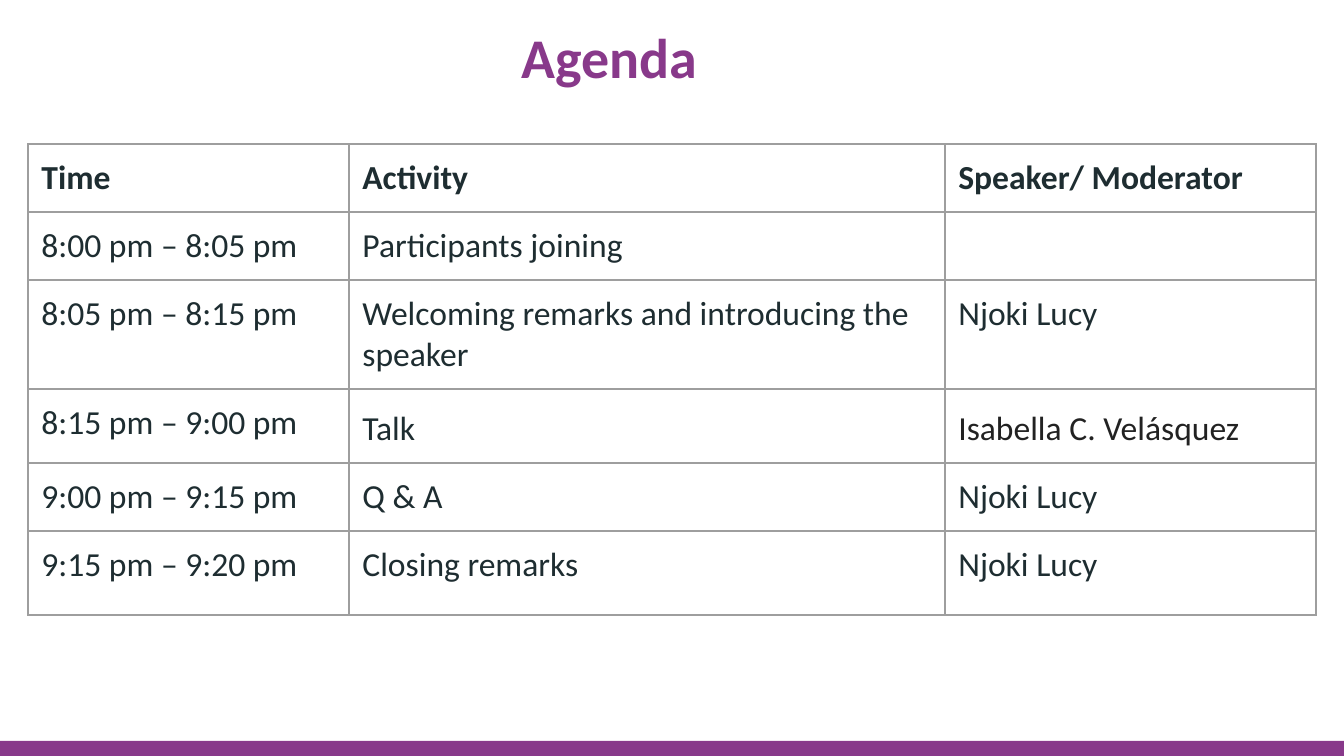
from lxml import etree
from pptx import Presentation
from pptx.dml.color import RGBColor
from pptx.enum.shapes import MSO_SHAPE as Shape
from pptx.enum.text import MSO_ANCHOR as Anchor, PP_ALIGN as Align
from pptx.oxml import parse_xml
from pptx.util import Emu, Pt

# Content
TITLE = "Agenda"
AGENDA = [
    ("Time", "Activity", "Speaker/ Moderator"),
    ("8:00 pm – 8:05 pm", "Participants joining", ""),
    ("8:05 pm – 8:15 pm", "Welcoming remarks and introducing the speaker", "Njoki Lucy"),
    ("8:15 pm – 9:00 pm", "Talk", "Isabella C. Velásquez"),
    ("9:00 pm – 9:15 pm", "Q & A", "Njoki Lucy"),
    ("9:15 pm – 9:20 pm", "Closing remarks", "Njoki Lucy"),
]
GUEST = "Isabella C. Velásquez"
LOOSE_TEXTS = ("Talk", GUEST)

# Layout in px
SLIDE_SIZE = (1344, 756)
TITLE_BOX = (150, 22, 919, 68)
TABLE_LEFT, TABLE_TOP = 28, 144
COLUMN_WIDTHS = (321, 596, 371)
ROW_HEIGHTS = (68, 68, 109, 74, 68, 84)
FOOTER_HEIGHT = 15
INSET = 13.44

PURPLE, INK, GUEST_INK, GRID, WHITE = "88398A", "1E2D31", "222222", "9E9E9E", "FFFFFF"
FONT = "Calibri"
DRAWING = "http://schemas.openxmlformats.org/drawingml/2006/main"


def px(length):
    return Emu(round(length * 914400 / 134.4))


def color(hex_string):
    return RGBColor.from_string(hex_string)


def write(paragraph, text, ink, **formats):
    run = paragraph.add_run()
    run.text = text
    run.font.color.rgb = color(ink)
    for name, value in {"name": FONT, **formats}.items():
        setattr(run.font, name, value)


def set_margins(target):
    for side in ("left", "top", "right", "bottom"):
        setattr(target, f"margin_{side}", px(INSET))


def add_borders(cell):
    properties = cell._tc.get_or_add_tcPr()
    for index, side in enumerate("LRTB"):
        properties.insert(index, parse_xml(
            f'<a:ln{side} xmlns:a="{DRAWING}" w="{Pt(0.75)}"><a:solidFill>'
            f'<a:srgbClr val="{GRID}"/></a:solidFill></a:ln{side}>'))


presentation = Presentation()
presentation.slide_width, presentation.slide_height = map(px, SLIDE_SIZE)
slide = presentation.slides.add_slide(presentation.slide_layouts[6])

# Footer band
width, height = SLIDE_SIZE
footer = slide.shapes.add_shape(
    Shape.RECTANGLE, 0, px(height - FOOTER_HEIGHT), px(width), px(FOOTER_HEIGHT))
footer.shadow.inherit = False
footer.fill.solid()
footer.fill.fore_color.rgb = color(PURPLE)
footer.line.fill.background()

# Agenda table
table = slide.shapes.add_table(
    len(AGENDA), len(COLUMN_WIDTHS), px(TABLE_LEFT), px(TABLE_TOP),
    px(sum(COLUMN_WIDTHS)), px(sum(ROW_HEIGHTS))).table
table.first_row = table.horz_banding = False
for column, column_width in zip(table.columns, COLUMN_WIDTHS):
    column.width = px(column_width)
for row_index, (row, row_height, texts) in enumerate(zip(table.rows, ROW_HEIGHTS, AGENDA)):
    row.height = px(row_height)
    for cell, text in zip(row.cells, texts):
        set_margins(cell)
        cell.fill.solid()
        cell.fill.fore_color.rgb = color(WHITE)
        add_borders(cell)
        paragraph = cell.text_frame.paragraphs[0]
        if text in LOOSE_TEXTS:
            paragraph.line_spacing = 1.15
        if text:
            ink = GUEST_INK if text == GUEST else INK
            write(paragraph, text, ink, size=Pt(18), bold=row_index == 0)

# Title
title_frame = slide.shapes.add_textbox(*map(px, TITLE_BOX)).text_frame
title_frame.word_wrap = True
title_frame.vertical_anchor = Anchor.MIDDLE
set_margins(title_frame)
title_frame.paragraphs[0].alignment = Align.CENTER
write(title_frame.paragraphs[0], TITLE, PURPLE, size=Pt(30), bold=True)

presentation.save("out.pptx")
